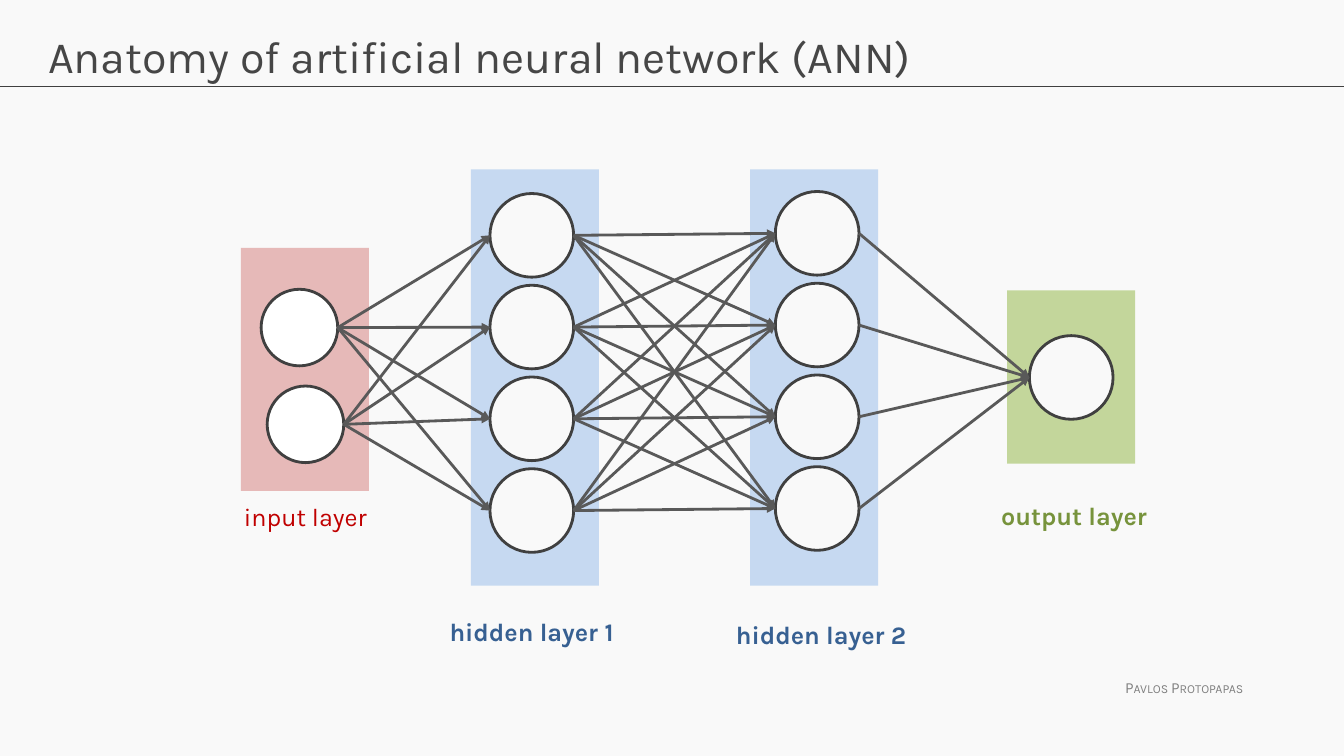
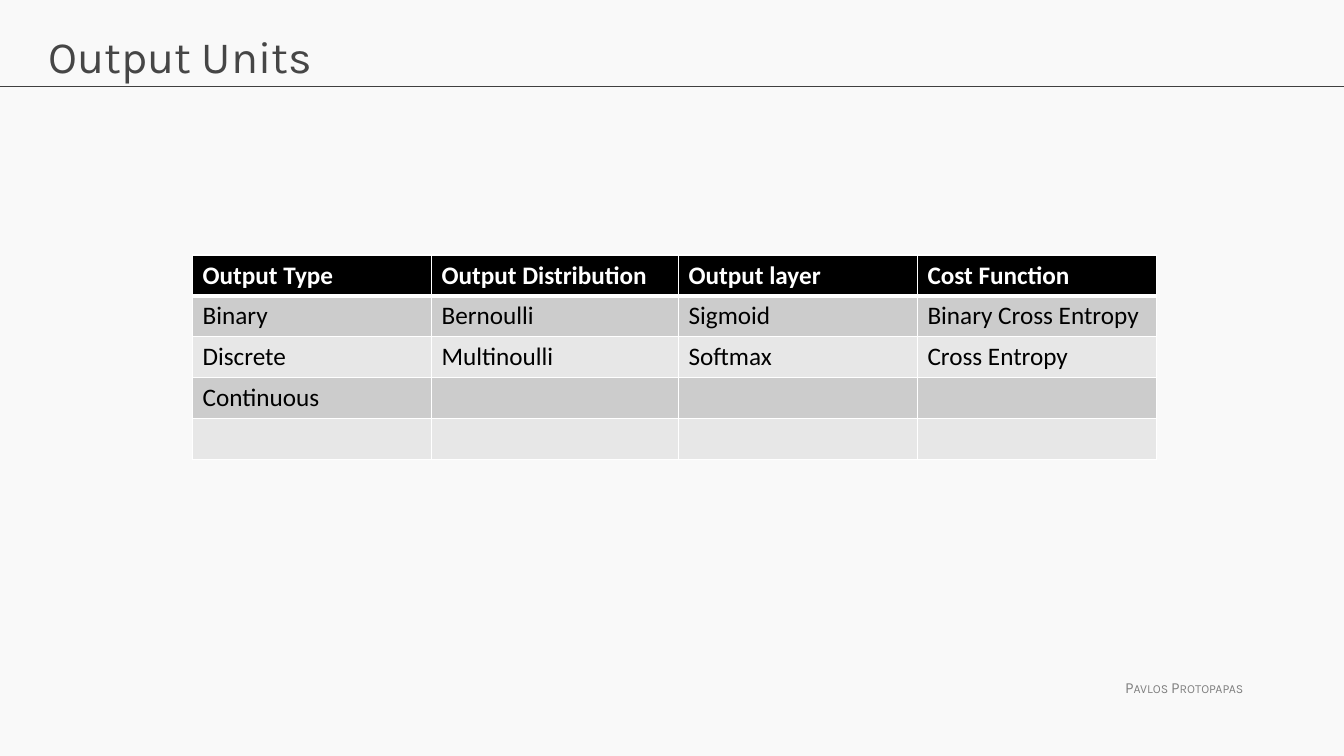
import itertools
from dataclasses import dataclass

import pptx
import pptx.dml.color
import pptx.enum.shapes
import pptx.oxml
import pptx.oxml.ns
import pptx.util
from lxml import etree


@dataclass(frozen=True)
class Theme:
    heading: str = "Karla"
    body: str = "Calibri"
    title_size: int = 32
    text_size: int = 18
    footer_size: int = 11
    background: str = "F9F9F9"
    title: str = "464646"
    rule: str = "404040"
    link: str = "595959"
    footer: str = "808080"
    white: str = "FFFFFF"
    black: str = "000000"
    red: str = "C00000"
    green: str = "77933C"
    blue: str = "376092"
    pale_red: str = "E6B9B8"
    pale_green: str = "C3D69B"
    pale_blue: str = "C6D9F1"
    row_fills: tuple = ("CCCCCC", "E7E7E7")


T = Theme()
WIDTH, HEIGHT = 13.33, 7.5
BAND_WIDTH = 1.27
NODE_PITCH = 0.91
LABEL_SIZE = (2.45, 0.43)
FOOTER = "Pavlos Protopapas"

NETWORK_TITLE = "Anatomy of artificial neural network (ANN)"
LAYERS = [
    dict(label="input layer", label_at=(2.32, 4.92), ink=T.red, bold=False,
         band=(2.39, 2.46, 2.41), fill=T.pale_red, node_fill=T.white,
         first=(2.59, 2.87), step=(0.06, 0.96), count=2, size=0.76),
    dict(label="hidden layer 1", label_at=(4.36, 6.07), ink=T.blue, bold=True,
         band=(4.67, 1.68, 4.13), fill=T.pale_blue, node_fill=T.background,
         first=(4.86, 1.92), step=(0, NODE_PITCH), count=4, size=0.83),
    dict(label="hidden layer 2", label_at=(7.2, 6.09), ink=T.blue, bold=True,
         band=(7.44, 1.68, 4.13), fill=T.pale_blue, node_fill=T.background,
         first=(7.69, 1.9), step=(0, NODE_PITCH), count=4, size=0.83),
    dict(label="output layer", label_at=(9.83, 4.91), ink=T.green, bold=True,
         band=(9.99, 2.88, 1.72), fill=T.pale_green, node_fill=T.background,
         first=(10.21, 3.33), step=(0, NODE_PITCH), count=1, size=0.83),
]

UNITS_TITLE = "Output Units"
UNITS = [
    ("Output Type", "Output Distribution", "Output layer", "Cost Function"),
    ("Binary", "Bernoulli", "Sigmoid", "Binary Cross Entropy"),
    ("Discrete", "Multinoulli", "Softmax", "Cross Entropy"),
    ("Continuous", "", "", ""),
    ("", "", "", ""),
]
UNITS_AT = (1.91, 2.53)
UNITS_COLUMNS = (2.37, 2.45, 2.37, 2.37)
UNITS_HEIGHT = 2.03


def inches(*values):
    return [pptx.util.Inches(v) for v in values]


def rgb(value):
    return pptx.dml.color.RGBColor.from_string(value)


def set_font(p, name, size, color, bold=False):
    p.font.name = name
    p.font.size = pptx.util.Pt(size)
    p.font.bold = bold
    p.font.color.rgb = rgb(color)


def add_text(s, text, box, size, color, bold=False, wrap=True):
    tf = s.shapes.add_textbox(*inches(*box)).text_frame
    tf.word_wrap = wrap
    p = tf.paragraphs[0]
    p.text = text
    set_font(p, T.heading, size, color, bold)
    return p


def add_line(s, start, end, color, width, arrow=False):
    line = s.shapes.add_connector(
        pptx.enum.shapes.MSO_CONNECTOR.STRAIGHT, *inches(*start, *end))
    line.line.color.rgb = rgb(color)
    line.line.width = pptx.util.Pt(width)
    props = line._element.spPr
    if arrow:
        etree.SubElement(line.line._get_or_add_ln(),
                         pptx.oxml.ns.qn("a:tailEnd"), type="triangle")
    etree.SubElement(props, pptx.oxml.ns.qn("a:effectLst"))


def add_shape(s, kind, box, fill, outline=None):
    sp = s.shapes.add_shape(kind, *inches(*box))
    sp.shadow.inherit = False
    sp.fill.solid()
    sp.fill.fore_color.rgb = rgb(fill)
    if outline:
        sp.line.color.rgb = rgb(outline)
        sp.line.width = pptx.util.Pt(2)
    else:
        sp.line.fill.background()


def add_slide(prs, title):
    s = prs.slides.add_slide(prs.slide_layouts[6])
    s.background.fill.solid()
    s.background.fill.fore_color.rgb = rgb(T.background)
    add_line(s, (0, 0.86), (WIDTH, 0.86), T.rule, 0.75)
    p = add_text(s, FOOTER, (11.06, 6.68, 1.41, 0.29), T.footer_size, T.footer, wrap=False)
    p._p.get_or_add_pPr().get_or_add_defRPr().set("cap", "small")
    add_text(s, title, (0.38, 0.24, 12.57, 0.84), T.title_size, T.title)
    return s


def node_corners(layer):
    (x, y), (dx, dy) = layer["first"], layer["step"]
    return [(x + i * dx, y + i * dy) for i in range(layer["count"])]


def add_network(s):
    shapes = pptx.enum.shapes.MSO_SHAPE
    for layer in LAYERS:
        x, y, height = layer["band"]
        add_shape(s, shapes.RECTANGLE, (x, y, BAND_WIDTH, height), layer["fill"])
        add_text(s, layer["label"], (*layer["label_at"], *LABEL_SIZE),
                 T.text_size, layer["ink"], layer["bold"])
    for layer in LAYERS:
        size = layer["size"]
        for corner in node_corners(layer):
            add_shape(s, shapes.OVAL, (*corner, size, size), layer["node_fill"], T.rule)
    for source, target in itertools.pairwise(LAYERS):
        a, b = source["size"], target["size"]
        for (x1, y1), (x2, y2) in itertools.product(node_corners(source), node_corners(target)):
            add_line(s, (x1 + a, y1 + a / 2), (x2, y2 + b / 2), T.link, 2, arrow=True)


def set_borders(cell, widths):
    props = cell._tc.get_or_add_tcPr()
    for side, width in widths.items():
        props.append(pptx.oxml.parse_xml(
            f'<a:ln{side} {pptx.oxml.ns.nsdecls("a")} w="{pptx.util.Pt(width)}">'
            f'<a:solidFill><a:srgbClr val="{T.white}"/></a:solidFill></a:ln{side}>'))


def add_units_table(s):
    table = s.shapes.add_table(
        len(UNITS), len(UNITS_COLUMNS),
        *inches(*UNITS_AT, sum(UNITS_COLUMNS), UNITS_HEIGHT)).table
    for column, width in zip(table.columns, UNITS_COLUMNS):
        column.width = pptx.util.Inches(width)
    for i, row in enumerate(UNITS):
        header = i == 0
        fill = T.black if header else T.row_fills[(i - 1) % 2]
        for j, text in enumerate(row):
            cell = table.cell(i, j)
            set_borders(cell, dict(L=1, R=1, T=3 if i == 1 else 1, B=3 if header else 1))
            cell.fill.solid()
            cell.fill.fore_color.rgb = rgb(fill)
            p = cell.text_frame.paragraphs[0]
            p.text = text
            set_font(p, T.body, T.text_size, T.white if header else T.black, header)


def main():
    prs = pptx.Presentation()
    prs.slide_width, prs.slide_height = inches(WIDTH, HEIGHT)
    add_network(add_slide(prs, NETWORK_TITLE))
    add_units_table(add_slide(prs, UNITS_TITLE))
    prs.save("out.pptx")


if __name__ == "__main__":
    main()
